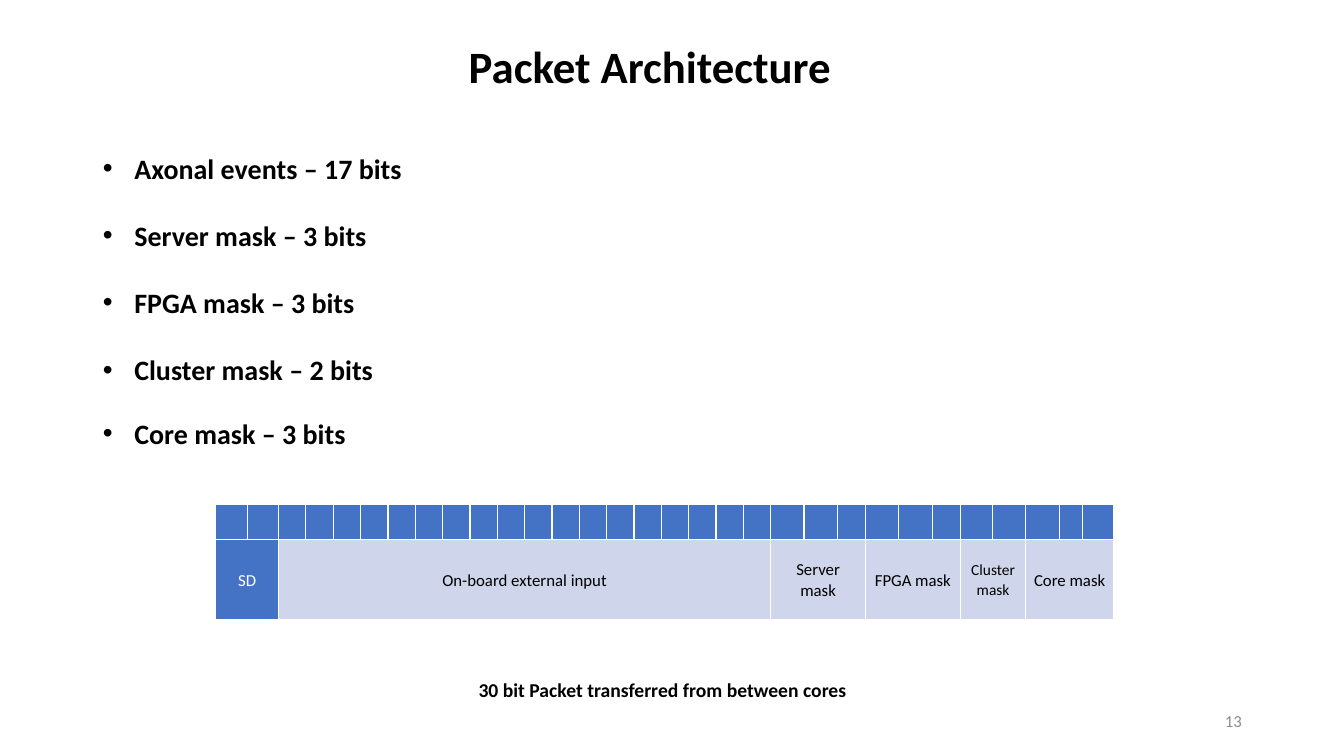
from lxml import etree
from pptx import Presentation
from pptx.dml.color import RGBColor
from pptx.enum.text import MSO_ANCHOR, MSO_AUTO_SIZE, PP_ALIGN
from pptx.oxml.ns import qn
from pptx.util import Cm, Pt

CENTER, RIGHT = PP_ALIGN.CENTER, PP_ALIGN.RIGHT
MIDDLE, TOP = MSO_ANCHOR.MIDDLE, MSO_ANCHOR.TOP
NO_AUTOFIT = MSO_AUTO_SIZE.NONE

BLACK = RGBColor(0x00, 0x00, 0x00)
WHITE = RGBColor(0xFF, 0xFF, 0xFF)
GRAY = RGBColor(0x8C, 0x8C, 0x8C)
BLUE = RGBColor(0x44, 0x72, 0xC4)
PALE = RGBColor(0xCF, 0xD5, 0xEA)
FONT = "Calibri"

# Bullet text and the space before it in points
BULLETS = [
    ("Axonal events – 17 bits", 0),
    ("Server mask – 3 bits", 24),
    ("FPGA mask – 3 bits", 24),
    ("Cluster mask – 2 bits", 24),
    ("Core mask – 3 bits", 21.5),
]

# Field name, width in cm of each bit, text size, text colour, fill
FIELDS = [
    ("SD", [0.79] * 2, 12, WHITE, BLUE),
    ("On-board external input", [0.69] * 18, 12, BLACK, PALE),
    ("Server mask", [0.84, 0.84, 0.71], 12, BLACK, PALE),
    ("FPGA mask", [0.84, 0.84, 0.71], 12, BLACK, PALE),
    ("Cluster mask", [0.82, 0.83], 11, BLACK, PALE),
    ("Core mask", [0.84, 0.59, 0.78], 12, BLACK, PALE),
]
ROW_HEIGHTS = [0.89, 2.03]


def style_spans(para, size, color, bold=False):
    for span in para.runs:
        span.font.name = FONT
        span.font.size = Pt(size)
        span.font.bold = bold
        span.font.color.rgb = color


def place(shape, left, top, width, height):
    shape.left, shape.top = Cm(left), Cm(top)
    shape.width, shape.height = Cm(width), Cm(height)


def add_title(page, left, top, width, height):
    title = page.shapes.title
    place(title, left, top, width, height)
    frame = title.text_frame
    frame.text = "Packet Architecture"
    frame.auto_size = NO_AUTOFIT
    frame.vertical_anchor = TOP
    frame.paragraphs[0].alignment = CENTER
    style_spans(frame.paragraphs[0], 32, BLACK, bold=True)


def add_bullets(page, left, top, width, height):
    body = page.placeholders[1]
    place(body, left, top, width, height)
    frame = body.text_frame
    frame.text = "\n".join(text for text, _ in BULLETS)
    frame.auto_size = NO_AUTOFIT
    frame.vertical_anchor = TOP
    for para, (_, gap) in zip(frame.paragraphs, BULLETS):
        properties = para._p.get_or_add_pPr()
        properties.set("marL", str(Cm(0.79)))
        properties.set("indent", str(-Cm(0.79)))
        para.space_before = Pt(gap)
        style_spans(para, 20, BLACK, bold=True)


def add_label(page, left, top, width, height, text, size, color, align, bold=False):
    box = page.shapes.add_textbox(Cm(left), Cm(top), Cm(width), Cm(height))
    frame = box.text_frame
    frame.word_wrap = True
    frame.vertical_anchor = MIDDLE
    frame.text = text
    frame.paragraphs[0].alignment = align
    style_spans(frame.paragraphs[0], size, color, bold)


def paint_cell(cell, fill):
    """Give the cell white borders, tight insets and a solid fill."""
    cell.margin_left = cell.margin_right = Cm(0.18)
    cell.margin_top = cell.margin_bottom = 0
    cell.vertical_anchor = MIDDLE
    properties = cell._tc.get_or_add_tcPr()
    for side in ("a:lnL", "a:lnR", "a:lnT", "a:lnB"):
        line = etree.SubElement(properties, qn(side), w=str(Pt(1)))
        solid = etree.SubElement(line, qn("a:solidFill"))
        etree.SubElement(solid, qn("a:srgbClr"), val=str(WHITE))
    cell.fill.solid()
    cell.fill.fore_color.rgb = fill


def add_packet_table(page, left, top):
    widths = [width for field in FIELDS for width in field[1]]
    table = page.shapes.add_table(
        len(ROW_HEIGHTS), len(widths), Cm(left), Cm(top),
        Cm(sum(widths)), Cm(sum(ROW_HEIGHTS))).table
    table.first_row = table.horz_banding = False
    for row, height in zip(table.rows, ROW_HEIGHTS):
        row.height = Cm(height)
    for column, width in zip(table.columns, widths):
        column.width = Cm(width)

    start = 0
    for name, bits, size, color, fill in FIELDS:
        end = start + len(bits)
        for index in range(start, end):
            paint_cell(table.cell(0, index), BLUE)
            paint_cell(table.cell(1, index), fill)
        cell = table.cell(1, start)
        cell.merge(table.cell(1, end - 1))
        cell.text_frame.text = name
        para = cell.text_frame.paragraphs[0]
        para.alignment = CENTER
        para.line_spacing = 1.07
        style_spans(para, size, color)
        start = end


def build_packet_page(deck):
    page = deck.slides.add_slide(deck.slide_layouts[1])
    add_title(page, 4.95, 0.84, 22.86, 1.63)
    add_bullets(page, 2.34, 3.68, 25.6, 7.87)
    add_packet_table(page, 5.44, 12.7)
    add_label(page, 11.2, 16.92, 11, 0.9,
              "30 bit Packet transferred from between cores",
              14, BLACK, CENTER, bold=True)
    add_label(page, 23.93, 17.65, 7.62, 1.02, "13", 12, GRAY, RIGHT)


def main():
    deck = Presentation()
    deck.slide_width, deck.slide_height = Cm(33.87), Cm(19.05)
    build_packet_page(deck)
    deck.save("out.pptx")


if __name__ == "__main__":
    main()
